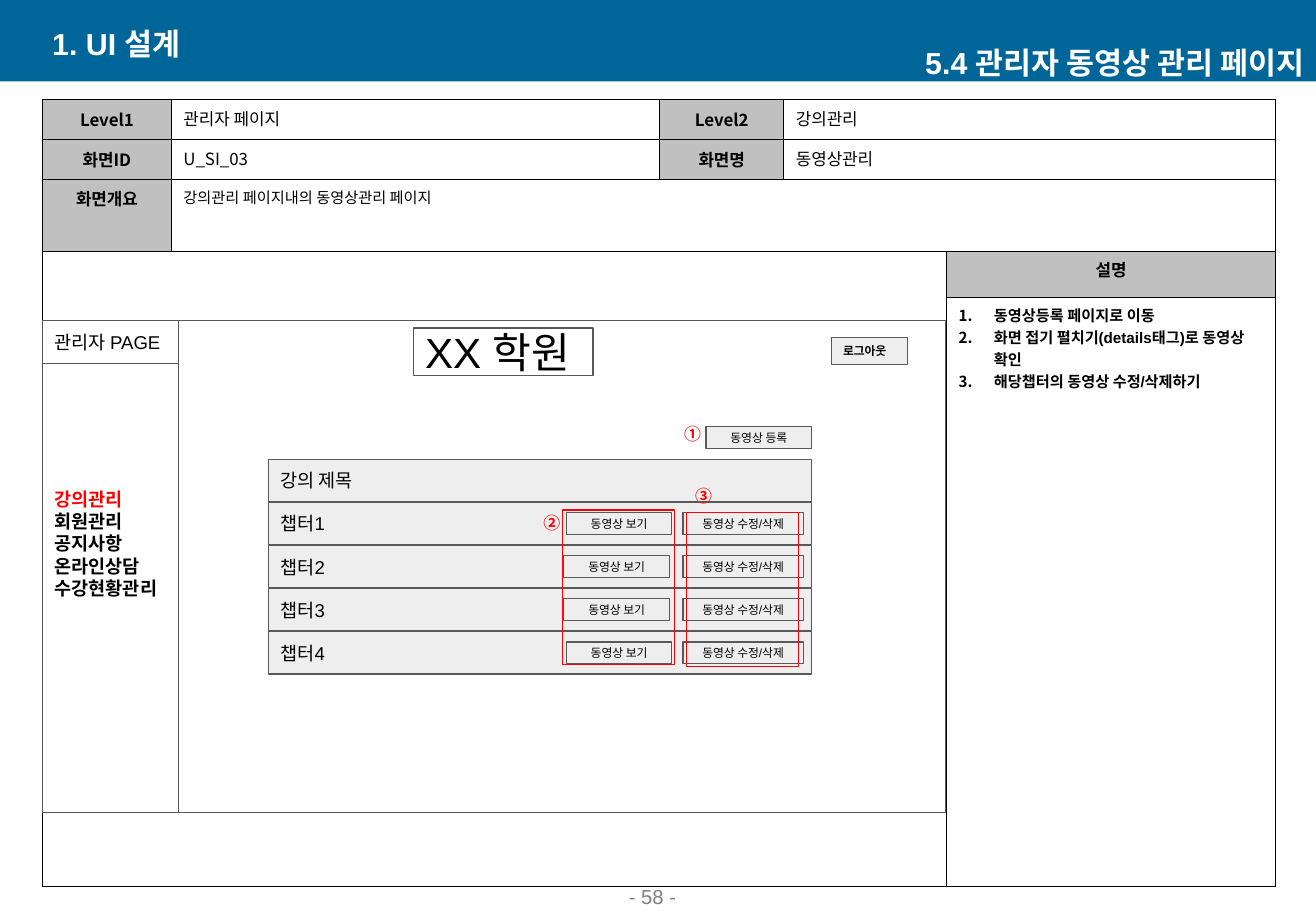
from dataclasses import dataclass

from lxml import etree
from pptx import Presentation
from pptx import util as u
from pptx.dml.color import RGBColor
from pptx.enum import shapes, text
from pptx.oxml.ns import qn


@dataclass(frozen=True)
class Theme:
    """Colours, fonts and type sizes of the slide."""
    band: str = "006699"
    white: str = "FFFFFF"
    black: str = "000000"
    red: str = "FF0000"
    line: str = "595959"
    panel: str = "EEEEEE"
    label: str = "C0C0C0"
    muted: str = "808080"
    latin: str = "Arial"
    korean: str = "Noto Sans CJK KR"
    title: int = 18
    logo: int = 25
    footer: int = 12
    menu: int = 11
    cell: int = 10
    note: int = 9
    button: int = 7


@dataclass(frozen=True)
class Box:
    """A rectangle in inches."""
    left: float
    top: float
    width: float
    height: float

    def inside(self, left, top, width, height):
        """Return a box placed relative to this one."""
        return Box(self.left + left, self.top + top, width, height)

    def lengths(self):
        """Return the four lengths for python-pptx."""
        return [u.Inches(value) for value in (self.left, self.top, self.width, self.height)]


THEME = Theme()
LEFT, CENTER, RIGHT = text.PP_ALIGN.LEFT, text.PP_ALIGN.CENTER, text.PP_ALIGN.RIGHT
TOP, MIDDLE, BOTTOM = text.MSO_ANCHOR.TOP, text.MSO_ANCHOR.MIDDLE, text.MSO_ANCHOR.BOTTOM


def add_span(para, words, size, color=THEME.black, bold=False, font=THEME.latin):
    """Add one formatted run."""
    span = para.add_run()
    span.text = words
    span.font.size = u.Pt(size)
    span.font.bold = bold
    span.font.color.rgb = RGBColor.from_string(color)
    span.font.name = font
    latin = span.font._element.find(qn("a:latin"))
    east = etree.Element(qn("a:ea"), typeface=THEME.korean)
    latin.addnext(east)


def set_frame(frame, anchor, margin=0.05):
    """Set wrapping, anchor and margins of a text frame."""
    frame.auto_size = text.MSO_AUTO_SIZE.NONE
    frame.word_wrap = True
    frame.vertical_anchor = anchor
    frame.margin_left = frame.margin_right = u.Inches(0.1)
    frame.margin_top = frame.margin_bottom = u.Inches(margin)


def add_label(page, box, words, size, color=THEME.black, align=LEFT, anchor=MIDDLE,
              bold=False, font=THEME.latin, margin=0.05):
    """Add a one-line text box."""
    label = page.shapes.add_textbox(*box.lengths())
    set_frame(label.text_frame, anchor, margin)
    para = label.text_frame.paragraphs[0]
    para.alignment = align
    add_span(para, words, size, color, bold, font)


def add_panel(page, box, fill=THEME.white, line=THEME.line, words=None,
              size=THEME.menu, align=LEFT, bold=False):
    """Add a rectangle, with one line of text if given."""
    panel = page.shapes.add_shape(shapes.MSO_SHAPE.RECTANGLE, *box.lengths())
    panel.shadow.inherit = False
    if fill:
        panel.fill.solid()
        panel.fill.fore_color.rgb = RGBColor.from_string(fill)
    else:
        panel.fill.background()
    if line:
        panel.line.color.rgb = RGBColor.from_string(line)
        panel.line.width = u.Pt(0.75)
    else:
        panel.line.fill.background()
    set_frame(panel.text_frame, MIDDLE, 0.1)
    if words:
        para = panel.text_frame.paragraphs[0]
        para.alignment = align
        add_span(para, words, size, bold=bold)
    return panel


def add_button(page, box, words, align=CENTER, bold=False):
    """Add a small grey button."""
    add_panel(page, box, THEME.panel, words=words, size=THEME.button, align=align, bold=bold)


def add_header(page, box):
    """Place the blue band with the title and the section name."""
    band = add_panel(page, box, THEME.band, line=None)
    title = page.shapes.title
    title.element.addprevious(band.element)
    title.left, title.top, title.width, title.height = box.inside(0.33, 0.19, 4.38, 0.33).lengths()
    set_frame(title.text_frame, MIDDLE)
    para = title.text_frame.paragraphs[0]
    para.alignment = LEFT
    add_span(para, "1. UI 설계", THEME.title, THEME.white, True)
    add_label(page, box.inside(6.45, 0.35, 4.38, 0.33), "5.4 관리자 동영상 관리 페이지",
              THEME.title, THEME.white, RIGHT, bold=True)


def style_cell(cell, fill=None):
    """Give a cell black borders and a fill."""
    props = cell._tc.get_or_add_tcPr()
    for side in ("lnL", "lnR", "lnT", "lnB"):
        border = etree.SubElement(props, qn(f"a:{side}"), w=str(u.Pt(1)))
        solid = etree.SubElement(border, qn("a:solidFill"))
        etree.SubElement(solid, qn("a:srgbClr"), val=THEME.black)
    if fill:
        cell.fill.solid()
        cell.fill.fore_color.rgb = RGBColor.from_string(fill)
    else:
        cell.fill.background()


def add_notes_list(frame, notes):
    """Write the numbered explanations."""
    for index, words in enumerate(notes):
        para = frame.add_paragraph() if index else frame.paragraphs[0]
        props = para._p.get_or_add_pPr()
        props.set("marL", str(u.Inches(0.29)))
        props.set("indent", str(u.Inches(-0.29)))
        color = etree.SubElement(props, qn("a:buClr"))
        etree.SubElement(color, qn("a:srgbClr"), val=THEME.black)
        etree.SubElement(props, qn("a:buAutoNum"), type="arabicPeriod")
        add_span(para, words, THEME.note, bold=True)


def add_screen_table(page, box):
    """Place the table that describes the screen."""
    widths, heights = (1.06, 4.02, 1.02, 1.34, 2.71), (0.33, 0.33, 0.59, 0.38, 4.85)
    table = page.shapes.add_table(len(heights), len(widths), *box.lengths()).table
    for column, width in zip(table.columns, widths):
        column.width = u.Inches(width)
    for row, height in zip(table.rows, heights):
        row.height = u.Inches(height)
    labels = {(0, 0): "Level1", (0, 2): "Level2", (1, 0): "화면ID", (1, 2): "화면명",
              (2, 0): "화면개요", (3, 4): "설명"}
    values = {(0, 1): "관리자 페이지", (0, 3): "강의관리", (1, 1): "U_SI_03", (1, 3): "동영상관리"}
    for row in range(len(heights)):
        for column in range(len(widths)):
            style_cell(table.cell(row, column), THEME.label if (row, column) in labels else None)
    for first, last in (((0, 3), (0, 4)), ((1, 3), (1, 4)), ((2, 1), (2, 4)), ((3, 0), (4, 3))):
        table.cell(*first).merge(table.cell(*last))
    for place, words in (labels | values).items():
        cell = table.cell(*place)
        para = cell.text_frame.paragraphs[0]
        is_label = place in labels
        para.alignment = CENTER if is_label else LEFT
        cell.vertical_anchor = MIDDLE if is_label and place[0] < 2 else TOP
        add_span(para, words, THEME.cell, bold=is_label, font=THEME.korean)
    add_span(table.cell(2, 1).text_frame.paragraphs[0], "강의관리 페이지내의 동영상관리 페이지", THEME.note)
    add_notes_list(table.cell(4, 4).text_frame, (
        "동영상등록 페이지로 이동", "화면 접기 펼치기(details태그)로 동영상 확인", "해당챕터의 동영상 수정/삭제하기"))


def add_sidebar(page, box):
    """Place the administrator menu."""
    menu = add_panel(page, box)
    menu.text_frame.margin_bottom = u.Inches(0.48)
    for index, words in enumerate(("강의관리", "회원관리", "공지사항", "온라인상담", "수강현황관리")):
        para = menu.text_frame.add_paragraph() if index else menu.text_frame.paragraphs[0]
        para.alignment = LEFT
        add_span(para, words, THEME.menu, THEME.black if index else THEME.red, True)
    add_panel(page, box.inside(0, 0, box.width, 0.35), words="관리자 PAGE")


def add_chapters(page, box):
    """Place the lecture rows with their buttons, marks and red frames."""
    pitch = 0.355
    for index, words in enumerate(("강의 제목", "챕터1", "챕터2", "챕터3", "챕터4")):
        add_panel(page, box.inside(0, index * pitch, box.width, 0.35), THEME.panel, words=words)
    for index, view_left in enumerate((2.45, 2.43, 2.43, 2.45)):
        top = 0.44 + index * pitch
        add_button(page, box.inside(view_left, top, 0.87, 0.18), "동영상 보기")
        add_button(page, box.inside(3.41, top, 0.99, 0.18), "동영상 수정/삭제")
    add_button(page, box.inside(3.6, -0.27, 0.87, 0.18), "동영상 등록")
    for mark, left, top, margin in (("①", 3.32, -0.39, 0.1), ("②", 2.16, 0.39, 0.05),
                                    ("③", 3.41, 0.17, 0.05)):
        add_label(page, box.inside(left, top, 0.34, 0.27), mark, THEME.cell, THEME.red,
                  CENTER, TOP, True, THEME.korean, margin)
    for left, top in ((2.42, 0.42), (3.44, 0.44)):
        add_panel(page, box.inside(left, top, 0.92, 1.27), None, THEME.red)


def add_wireframe(page, box):
    """Place the screen mock-up."""
    add_panel(page, box)
    add_panel(page, box.inside(3.05, 0.06, 1.48, 0.39), words="XX 학원", size=THEME.logo)
    add_sidebar(page, box.inside(0, 0, 1.12, box.height))
    add_button(page, box.inside(6.49, 0.14, 0.63, 0.22), "로그아웃", LEFT, True)
    add_chapters(page, box.inside(1.86, 1.14, 4.47, 1.77))


def main():
    """Build and save the deck."""
    deck = Presentation()
    deck.slide_width, deck.slide_height = u.Inches(10.83), u.Inches(7.5)
    page = deck.slides.add_slide(deck.slide_layouts[5])
    add_header(page, Box(0, 0, 10.83, 0.67))
    add_label(page, Box(4.24, 7.3, 2.26, 0.23), "- 58 -", THEME.footer, THEME.muted, CENTER, BOTTOM)
    add_screen_table(page, Box(0.35, 0.82, 10.15, 6.48))
    add_wireframe(page, Box(0.35, 2.64, 7.43, 4.05))
    deck.save("out.pptx")


if __name__ == "__main__":
    main()
